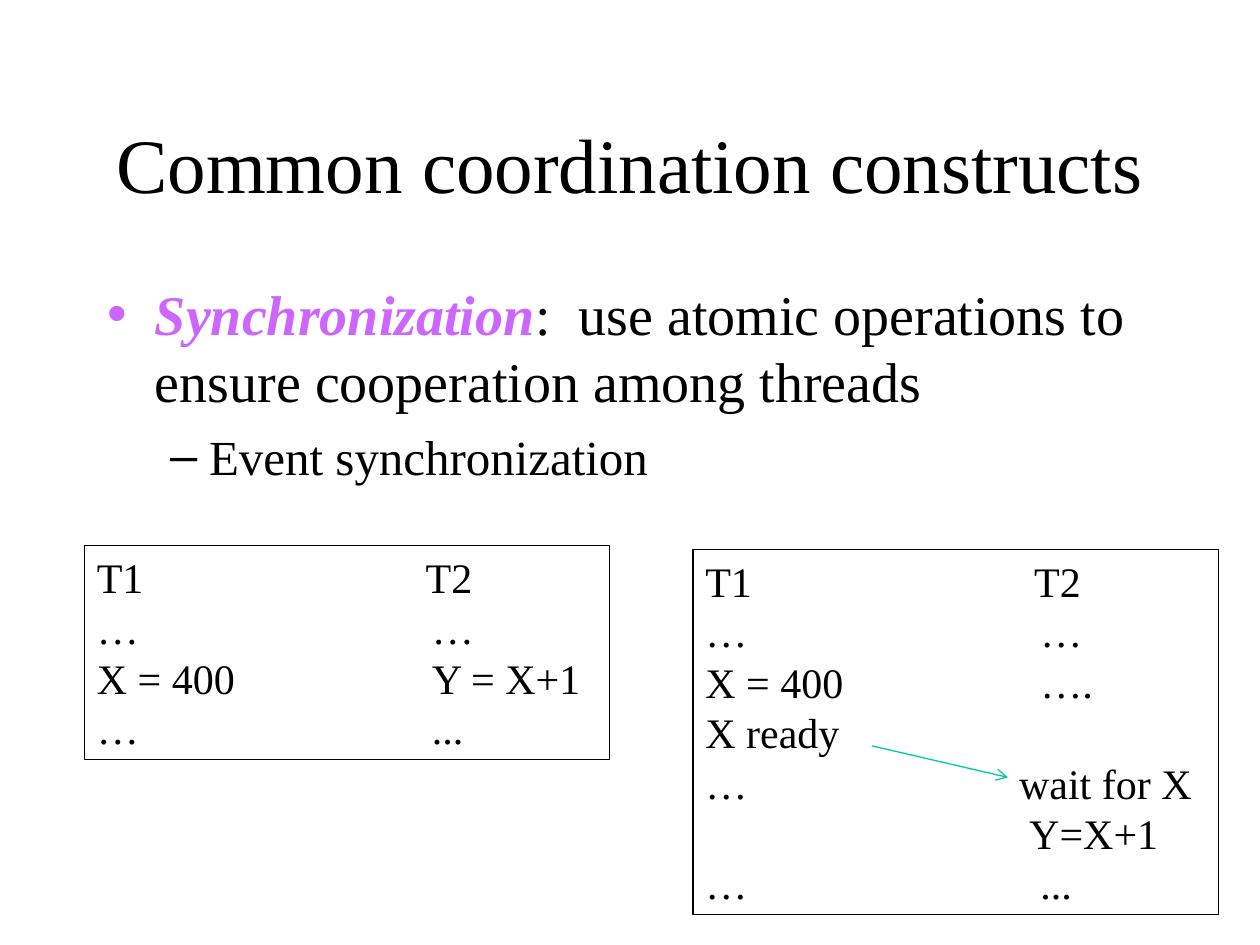
from pptx import Presentation
from pptx.dml.color import RGBColor as Rgb
from pptx.enum.shapes import MSO_CONNECTOR as Link, MSO_SHAPE as Form
from pptx.enum.text import MSO_ANCHOR as Anchor, MSO_AUTO_SIZE as Auto, PP_ALIGN as Align
from pptx.oxml.ns import qn
from pptx.util import Inches, Pt
from lxml.etree import SubElement as Sub

BLACK, VIOLET, GREEN = "000000", "CC66FF", "00CC98"


def color(code):
    """Turn a hex string into a colour."""
    return Rgb.from_string(code)


class Deck:
    """Hold the style and the current slide."""

    face = "Times New Roman"

    def __init__(self):
        """Start a deck with one slide."""
        self.prs = Presentation()
        self.prs.slide_width, self.prs.slide_height = Inches(10), Inches(7.5)
        self.slide = self.prs.slides.add_slide(self.prs.slide_layouts[1])

    def place(self, shape, x, y, w, h):
        """Move and size a shape."""
        shape.left, shape.top = Inches(x), Inches(y)
        shape.width, shape.height = Inches(w), Inches(h)

    def style(self, run, size, code=BLACK, strong=False):
        """Format one run."""
        font = run.font
        font.name, font.size = self.face, Pt(size)
        font.bold = font.italic = strong
        font.color.rgb = color(code)

    def title(self, text, *box):
        """Fill the title placeholder."""
        shape = self.slide.shapes.title
        self.place(shape, *box)
        frame = shape.text_frame
        frame.text = text
        frame.auto_size, frame.vertical_anchor = Auto.NONE, Anchor.MIDDLE
        para = frame.paragraphs[0]
        para.alignment = Align.CENTER
        self.style(para.runs[0], 44)

    def bullet(self, para, mark, code, left, hang):
        """Give a paragraph its mark and indent."""
        props = para._p.get_or_add_pPr()
        props.set("marL", str(Inches(left)))
        props.set("indent", str(-Inches(hang)))
        tint = Sub(props, qn("a:buClr"))
        Sub(tint, qn("a:srgbClr"), val=code)
        Sub(props, qn("a:buChar"), char=mark)

    def body(self, term, rest, point, *box):
        """Fill the body with a term, its meaning and a sub-point."""
        shape = self.slide.placeholders[1]
        self.place(shape, *box)
        frame = shape.text_frame
        frame.text = term
        frame.auto_size = Auto.NONE
        head, item = frame.paragraphs[0], frame.add_paragraph()
        head.add_run().text = rest
        item.text, item.level = point, 1
        self.bullet(head, "•", VIOLET, 0.38, 0.38)
        self.bullet(item, "–", BLACK, 0.81, 0.31)
        head.space_before, item.space_before = Pt(0), Pt(7)
        self.style(head.runs[0], 32, VIOLET, True)
        self.style(head.runs[1], 32)
        self.style(item.runs[0], 28)

    def trace(self, rows, *box):
        """Draw a framed two-column thread trace."""
        shape = self.slide.shapes.add_shape(Form.RECTANGLE, *map(Inches, box))
        shape.shadow.inherit = False
        shape.fill.background()
        shape.line.color.rgb, shape.line.width = color(BLACK), Pt(0.75)
        frame = shape.text_frame
        frame.word_wrap, frame.vertical_anchor = True, Anchor.TOP
        frame.auto_size = Auto.SHAPE_TO_FIT_TEXT
        frame.text = "\n".join(f"{left}\t{right}" if right else left for left, right, _ in rows)
        for para, (_, _, stop) in zip(frame.paragraphs, rows):
            tabs = Sub(para._p.get_or_add_pPr(), qn("a:tabLst"))
            Sub(tabs, qn("a:tab"), pos=str(Inches(stop)), algn="l")
            para.alignment = Align.LEFT
            for run in para.runs:
                self.style(run, 24)

    def arrow(self, *ends):
        """Draw a thin arrow."""
        line = self.slide.shapes.add_connector(Link.STRAIGHT, *map(Inches, ends))
        line.line.color.rgb, line.line.width = color(GREEN), Pt(0.75)
        Sub(line.line._get_or_add_ln(), qn("a:tailEnd"), type="arrow")
        Sub(line._element.spPr, qn("a:effectLst"))


def main():
    """Build and save the slide."""
    deck = Deck()
    deck.title("Common coordination constructs", 0.75, 0.67, 8.5, 1.25)
    deck.body("Synchronization", ":  use atomic operations to ensure cooperation among threads",
              "Event synchronization", 0.75, 2.17, 8.5, 1.83)
    col = 2.66
    start = [("T1", "T2", 2.61), ("…", "…", col)]
    end = [("…", "...", col)]
    deck.trace(start + [("X = 400", "Y = X+1", col)] + end, 0.67, 4.33, 4.17, 1.7)
    wait = [("X = 400", "….", col), ("X ready", "", col),
            ("…", "wait for X", 2.49), ("", "Y=X+1", 2.57)]
    deck.trace(start + wait + end, 5.5, 4.36, 4.17, 2.9)
    deck.arrow(6.92, 5.92, 8, 6.17)
    deck.prs.save("out.pptx")


if __name__ == "__main__":
    main()
